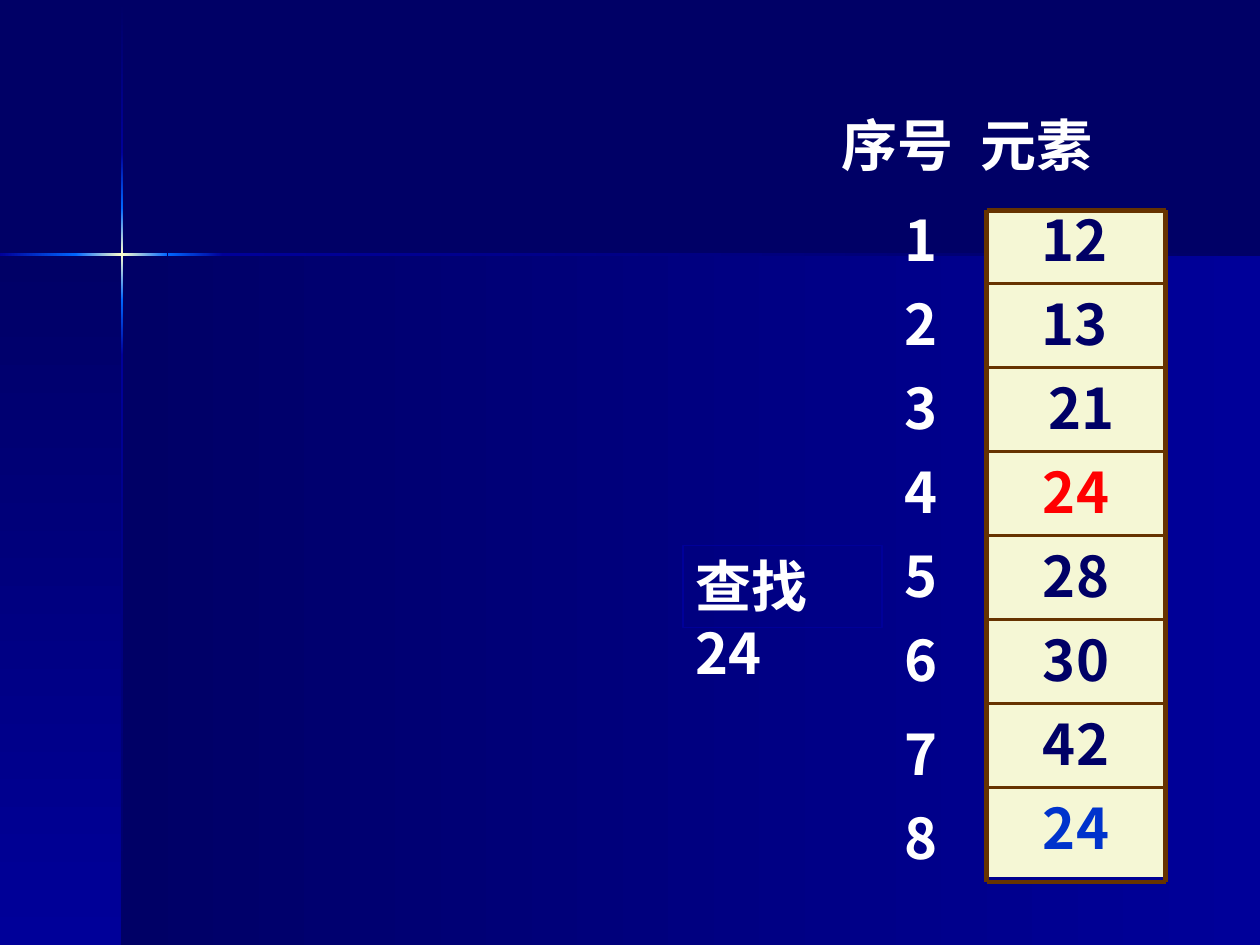
from dataclasses import dataclass

from lxml import etree
from pptx import Presentation
from pptx import util as u
from pptx.dml import color
from pptx.enum import shapes, text
from pptx.oxml import ns


@dataclass(frozen=True)
class Theme:
    font: str = "Noto Sans CJK SC"
    size: int = 32
    navy: str = "000066"
    blue: str = "000099"
    bright: str = "0066FF"
    glow: str = "FFFFCC"
    white: str = "FFFFFF"
    cream: str = "F5F7D5"
    brown: str = "663300"
    red: str = "FF0000"
    royal: str = "0033CC"


@dataclass(frozen=True)
class Band:
    left: float
    top: float
    width: float
    height: float
    colors: tuple[str, ...]
    angle: int


@dataclass(frozen=True)
class Entry:
    value: str
    color: str
    left: float
    width: float
    align: text.PP_ALIGN


theme = Theme()
LEFT, CENTER = text.PP_ALIGN.LEFT, text.PP_ALIGN.CENTER
ROW = 2 / 3
FIRST_ROW = 1.58
CELL_LEFT, CELL_RIGHT = 7.83, 9.25
CELL_WIDTH = CELL_RIGHT - CELL_LEFT
TABLE_TOP, TABLE_BOTTOM = 1.67, 7


def rgb(value: str) -> color.RGBColor:
    return color.RGBColor.from_string(value)


def add_rectangle(page, left: float, top: float, width: float, height: float):
    box = page.shapes.add_shape(
        shapes.MSO_SHAPE.RECTANGLE,
        u.Inches(left), u.Inches(top), u.Inches(width), u.Inches(height),
    )
    box.shadow.inherit = False
    box.line.fill.background()
    return box


def add_band(page, band: Band) -> None:
    box = add_rectangle(page, band.left, band.top, band.width, band.height)
    box.fill.gradient()
    box.fill.gradient_angle = -band.angle % 360
    stops = next(box.element.iter(ns.qn("a:gsLst")))
    for stop in list(stops):
        stops.remove(stop)
    for index, value in enumerate(band.colors):
        position = 100000 * index // (len(band.colors) - 1)
        stop = etree.SubElement(stops, ns.qn("a:gs"), pos=str(position))
        etree.SubElement(stop, ns.qn("a:srgbClr"), val=value)


def add_rule(page, x1: float, y1: float, x2: float, y2: float, weight: float) -> None:
    rule = page.shapes.add_connector(
        shapes.MSO_CONNECTOR.STRAIGHT,
        u.Inches(x1), u.Inches(y1), u.Inches(x2), u.Inches(y2),
    )
    rule.line.color.rgb = rgb(theme.brown)
    rule.line.width = u.Pt(weight)
    etree.SubElement(rule.element.spPr, ns.qn("a:effectLst"))


def write(box, words: str, ink: str, align: text.PP_ALIGN = LEFT) -> None:
    frame = box.text_frame
    frame.word_wrap = True
    frame.auto_size = text.MSO_AUTO_SIZE.SHAPE_TO_FIT_TEXT
    frame.vertical_anchor = text.MSO_ANCHOR.TOP
    para = frame.paragraphs[0]
    para.alignment = align
    span = para.add_run()
    span.text = words
    span.font.size = u.Pt(theme.size)
    span.font.bold = True
    span.font.color.rgb = rgb(ink)
    span.font.name = theme.font
    properties = span._r.get_or_add_rPr()
    etree.SubElement(properties, ns.qn("a:ea"), typeface=theme.font)


def add_label(page, words: str, left: float, top: float, width: float,
              ink: str = theme.white, align: text.PP_ALIGN = LEFT) -> None:
    box = page.shapes.add_textbox(
        u.Inches(left), u.Inches(top), u.Inches(width), u.Inches(0.63)
    )
    write(box, words, ink, align)


def add_backdrop(page) -> None:
    page.background.fill.solid()
    page.background.fill.fore_color.rgb = rgb(theme.navy)
    deepen = (theme.navy, theme.blue)
    fade = (theme.blue, theme.navy)
    rise = (theme.blue, theme.bright)
    fall = (theme.bright, theme.blue)
    spark = (theme.bright, theme.glow, theme.bright)
    for band in (
        Band(0.97, 2.02, 9.03, 5.48, deepen, 0),
        Band(0, 2.02, 0.97, 5.48, deepen, 90),
        Band(0.96, 0.01, 0.02, 1.2, deepen, 90),
        Band(0.96, 2.82, 0.02, 4.68, fade, 90),
        Band(1.77, 2.01, 8.23, 0.02, fade, 0),
        Band(0.96, 2.38, 0.02, 0.44, fall, 90),
        Band(0.96, 1.21, 0.02, 0.44, rise, 90),
        Band(0.96, 1.65, 0.02, 0.73, spark, 90),
        Band(0, 2.01, 0.61, 0.02, rise, 0),
        Band(1.33, 2.01, 0.44, 0.02, fall, 0),
        Band(0.6, 2.01, 0.73, 0.02, spark, 0),
    ):
        add_band(page, band)


def add_grid(page) -> None:
    panel = add_rectangle(page, CELL_LEFT, TABLE_TOP, CELL_WIDTH, 5.29)
    panel.fill.solid()
    panel.fill.fore_color.rgb = rgb(theme.cream)
    for x in (CELL_LEFT, CELL_RIGHT):
        add_rule(page, x, TABLE_TOP, x, TABLE_BOTTOM, 2.5)
    for y in (TABLE_TOP, TABLE_BOTTOM):
        add_rule(page, CELL_LEFT, y, CELL_RIGHT, y, 2.5)
    for row in range(7):
        y = 2.25 + row * ROW
        add_rule(page, CELL_LEFT, y, CELL_RIGHT, y, 2.25)


def centered(value: str, ink: str = theme.navy) -> Entry:
    return Entry(value, ink, CELL_LEFT, CELL_WIDTH, CENTER)


def inset(value: str, align: text.PP_ALIGN = LEFT) -> Entry:
    return Entry(value, theme.navy, 8.17, 0.83, align)


def add_entries(page) -> None:
    add_label(page, "序号", 6.58, 0.83, 1.1)
    add_label(page, "元素", 7.68, 0.83, 1.4)
    entries = (
        inset("12"), inset("13"), inset("21", CENTER),
        centered("24", theme.red), centered("28"), centered("30"),
        centered("42"), centered("24", theme.royal),
    )
    for row, entry in enumerate(entries):
        top = FIRST_ROW + row * ROW
        drop = 0.08 if row >= 6 else 0
        add_label(page, str(row + 1), 7.08, top + drop, 0.58)
        add_label(page, entry.value, entry.left, top, entry.width, entry.color, entry.align)


def add_query(page) -> None:
    box = add_rectangle(page, 5.42, 4.33, 1.58, 0.65)
    box.fill.background()
    box.line.color.rgb = rgb(theme.blue)
    box.line.width = u.Pt(1)
    write(box, "查找24", theme.white)


deck = Presentation()
deck.slide_width, deck.slide_height = u.Inches(10), u.Inches(7.5)
page = deck.slides.add_slide(deck.slide_layouts[6])
add_backdrop(page)
add_grid(page)
add_entries(page)
add_query(page)
deck.save("out.pptx")
